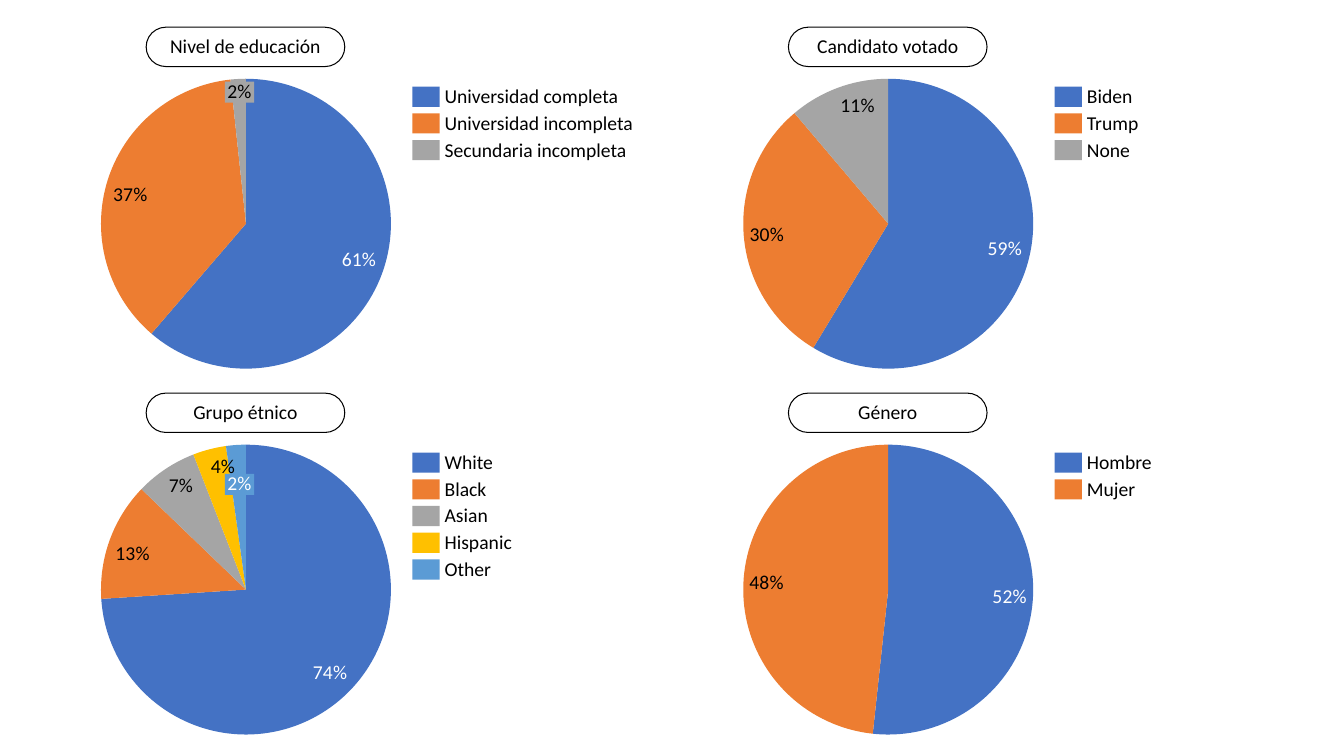
import dataclasses

import pptx
import pptx.chart.data
import pptx.dml.color
import pptx.enum.chart
import pptx.enum.shapes
import pptx.enum.text
import pptx.oxml
import pptx.oxml.ns
import pptx.util

Inches = pptx.util.Inches


@dataclasses.dataclass(frozen=True)
class Theme:
    font: str = "Calibri"
    text_size: float = 14
    outline_width: float = 0.75
    line_spacing: float = 0.9
    black: str = "000000"
    white: str = "FFFFFF"
    slices: tuple = ("4472C4", "ED7D31", "A5A5A5", "FFC000", "5B9BD5")
    light_text_slices: tuple = ("4472C4", "5B9BD5")

    def label_color(self, slice_color):
        return self.white if slice_color in self.light_text_slices else self.black


@dataclasses.dataclass(frozen=True)
class Panel:
    title: str
    shares: dict
    callout_top: float = None


THEME = Theme()
PANEL_LEFT, PANEL_TOP = 0.91, 0.27
COLUMN_PITCH, ROW_PITCH = 6.37, 3.63
PIE_SIZE, PIE_OFFSET, PLOT_MARGIN = 3.06, 0.42, 0.03
KEY_PITCH = 0.265

PANELS = (
    Panel(
        "Nivel de educación",
        {"Universidad completa": 61.3, "Universidad incompleta": 37, "Secundaria incompleta": 1.7},
        callout_top=0.54,
    ),
    Panel("Candidato votado", {"Biden": 58.7, "Trump": 30.2, "None": 11.2}),
    Panel(
        "Grupo étnico",
        {"White": 73.9, "Black": 13.2, "Asian": 6.9, "Hispanic": 3.7, "Other": 2.2},
        callout_top=0.8,
    ),
    Panel("Género", {"Hombre": 51.7, "Mujer": 48.3}),
)


def rgb(color):
    return pptx.dml.color.RGBColor.from_string(color)


def style_font(font, color):
    font.name = THEME.font
    font.size = pptx.util.Pt(THEME.text_size)
    font.color.rgb = rgb(color)


def write(shape, text, color=THEME.black, centered=False, side_inset=0, end_inset=0):
    frame = shape.text_frame
    frame.word_wrap = False
    frame.vertical_anchor = pptx.enum.text.MSO_ANCHOR.MIDDLE
    frame.margin_left = frame.margin_right = Inches(side_inset)
    frame.margin_top = frame.margin_bottom = Inches(end_inset)
    paragraph = frame.paragraphs[0]
    paragraph.line_spacing = THEME.line_spacing
    alignment = pptx.enum.text.PP_ALIGN
    paragraph.alignment = alignment.CENTER if centered else alignment.LEFT
    run = paragraph.add_run()
    run.text = text
    style_font(run.font, color)


def add_box(slide, kind, left, top, width, height, fill):
    shape = slide.shapes.add_shape(
        kind, Inches(left), Inches(top), Inches(width), Inches(height)
    )
    shape.shadow.inherit = False
    shape.fill.solid()
    shape.fill.fore_color.rgb = rgb(fill)
    shape.line.fill.background()
    return shape


def add_title_pill(slide, left, top, title):
    kind = pptx.enum.shapes.MSO_SHAPE.ROUNDED_RECTANGLE
    pill = add_box(slide, kind, left, top, 1.97, 0.39, THEME.white)
    pill.adjustments[0] = 0.5
    pill.line.color.rgb = rgb(THEME.black)
    pill.line.width = pptx.util.Pt(THEME.outline_width)
    write(pill, title, centered=True, end_inset=0.03)


def fix_plot_layout(chart):
    plot_area = chart._chartSpace.chart.plotArea
    for layout in plot_area.xpath("c:layout"):
        plot_area.remove(layout)
    extent = 1 - 2 * PLOT_MARGIN
    plot_area.insert(0, pptx.oxml.parse_xml(
        f'<c:layout {pptx.oxml.ns.nsdecls("c")}><c:manualLayout>'
        '<c:layoutTarget val="inner"/><c:xMode val="edge"/><c:yMode val="edge"/>'
        f'<c:x val="{PLOT_MARGIN}"/><c:y val="{PLOT_MARGIN}"/>'
        f'<c:w val="{extent}"/><c:h val="{extent}"/>'
        '</c:manualLayout></c:layout>'
    ))


def add_pie(slide, left, top, panel):
    data = pptx.chart.data.CategoryChartData()
    data.categories = list(panel.shares)
    data.add_series(panel.title, list(panel.shares.values()))
    chart = slide.shapes.add_chart(
        pptx.enum.chart.XL_CHART_TYPE.PIE,
        Inches(left), Inches(top), Inches(PIE_SIZE), Inches(PIE_SIZE), data,
    ).chart
    chart.has_title = False
    chart.has_legend = False
    style_font(chart.font, THEME.black)
    fix_plot_layout(chart)
    chart.plots[0].vary_by_categories = True
    series = chart.plots[0].series[0]
    series.data_labels.show_value = False
    labelled = len(panel.shares) - (panel.callout_top is not None)
    for index, color in zip(range(len(panel.shares)), THEME.slices):
        point = series.points[index]
        point.format.fill.solid()
        point.format.fill.fore_color.rgb = rgb(color)
        point.format.line.fill.background()
        if index < labelled:
            style_font(point.data_label.font, THEME.label_color(color))
            point.data_label.position = pptx.enum.chart.XL_LABEL_POSITION.INSIDE_END
    for label in series._element.xpath("c:dLbls/c:dLbl"):
        label.insert(1, pptx.oxml.parse_xml(
            f'<c:numFmt {pptx.oxml.ns.nsdecls("c")} '
            'formatCode="0&quot;%&quot;" sourceLinked="0"/>'
        ))


def add_callout(slide, left, top, panel):
    color = THEME.slices[len(panel.shares) - 1]
    kind = pptx.enum.shapes.MSO_SHAPE.RECTANGLE
    callout = add_box(slide, kind, left, top, 0.29, 0.21, color)
    smallest = list(panel.shares.values())[-1]
    write(callout, f"{smallest:.0f}%", THEME.label_color(color), centered=True, side_inset=0.03)


def add_key(slide, left, top, names):
    kind = pptx.enum.shapes.MSO_SHAPE.RECTANGLE
    for index, (name, color) in enumerate(zip(names, THEME.slices)):
        entry_top = top + index * KEY_PITCH
        add_box(slide, kind, left, entry_top, 0.27, 0.2, color)
        label = slide.shapes.add_textbox(
            Inches(left + 0.32), Inches(entry_top), Inches(1.87), Inches(0.21)
        )
        write(label, name)


def add_panel(slide, left, top, panel):
    add_pie(slide, left, top + PIE_OFFSET, panel)
    if panel.callout_top is not None:
        add_callout(slide, left + 1.32, top + panel.callout_top, panel)
    add_key(slide, left + 3.18, top + 0.59, panel.shares)
    add_title_pill(slide, left + 0.54, top, panel.title)


def build_survey_slide(presentation):
    slide = presentation.slides.add_slide(presentation.slide_layouts[6])
    for index, panel in enumerate(PANELS):
        row, column = divmod(index, 2)
        add_panel(
            slide, PANEL_LEFT + column * COLUMN_PITCH, PANEL_TOP + row * ROW_PITCH, panel
        )


presentation = pptx.Presentation()
presentation.slide_width = Inches(13.33)
presentation.slide_height = Inches(7.5)
build_survey_slide(presentation)
presentation.save("out.pptx")
